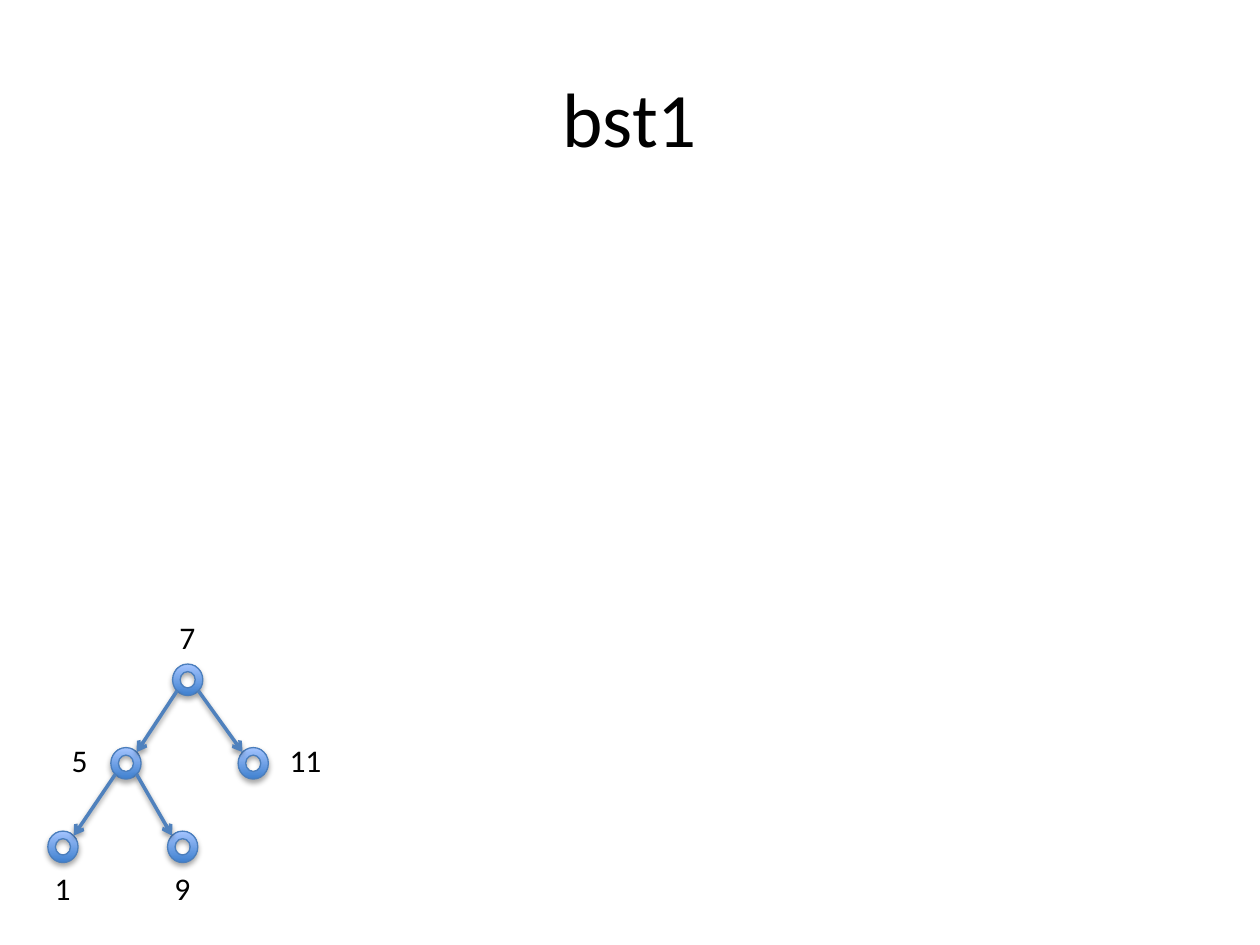
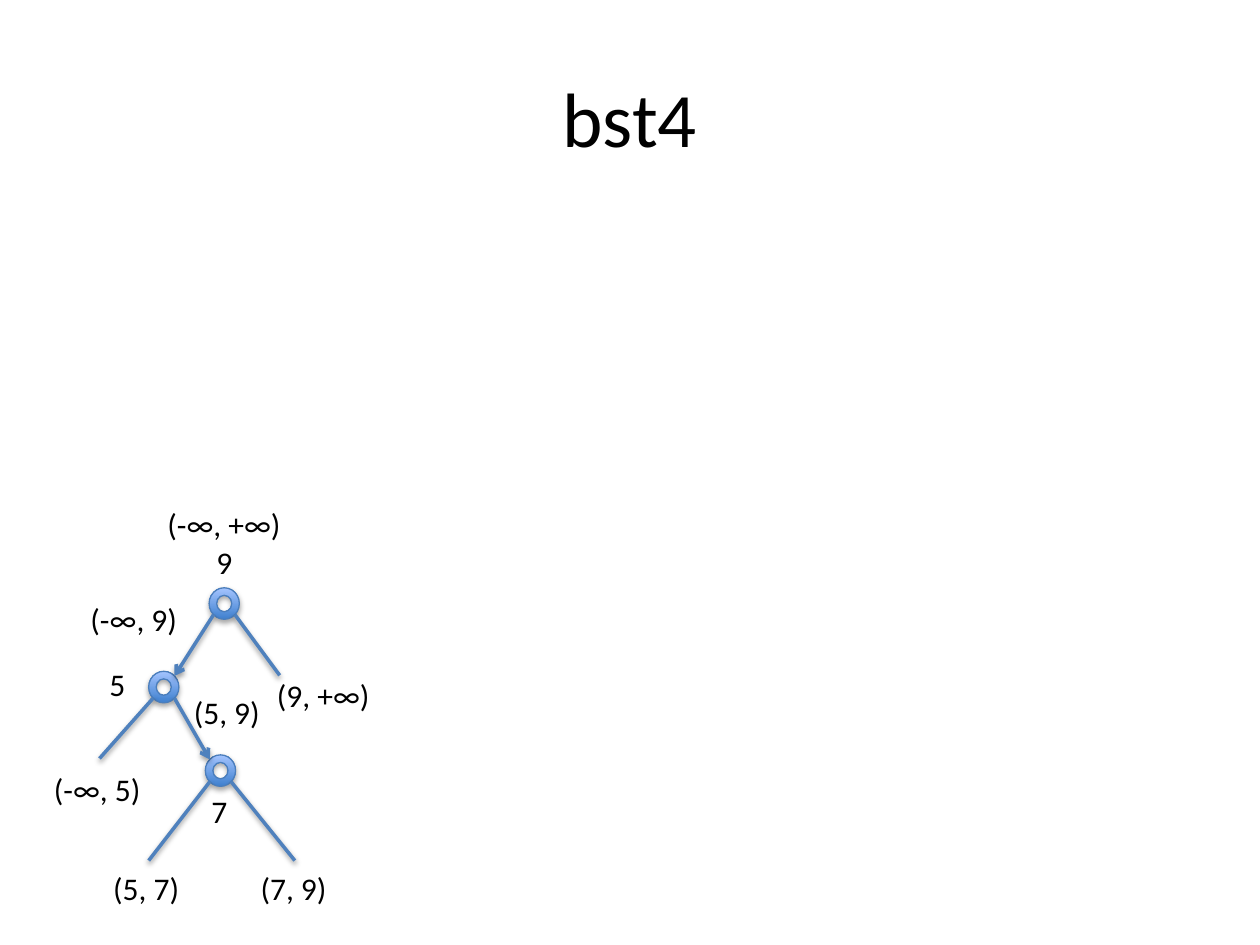
"""Two slides with binary search trees, placed on a 100 x 75 grid."""
from dataclasses import dataclass
import math

import lxml.etree
import pptx
import pptx.dml.color
import pptx.enum.shapes
import pptx.enum.text
import pptx.oxml.ns
import pptx.util

COLS, ROWS = 100, 75
LEVEL = 6.63  # rows between two levels of a tree
NODE_COLS, NODE_ROWS = 2.4, 2.5
LABEL_ROWS = 4
FONT = "Calibri"
INK, EDGE, OUTLINE = "000000", "4F81BD", "4B7EBC"
RING_BOTTOM, RING_TOP = "3F80CE", "A4C4FF"

prs = pptx.Presentation()
prs.slide_width = pptx.util.Inches(10)
prs.slide_height = pptx.util.Inches(7.5)


@dataclass(frozen=True)
class Node:
    """A tree node: its centre column and its level below the root."""
    col: float
    level: int


@dataclass(frozen=True)
class Edge:
    """An arrow from one node to another."""
    parent: Node
    child: Node


@dataclass(frozen=True)
class Branch:
    """A plain line from a node to an empty place."""
    parent: Node
    col: float
    row: float


@dataclass(frozen=True)
class Label:
    """A text with the centre and the width of its box."""
    text: str
    col: float
    row: float
    cols: float = 3.3


@dataclass(frozen=True)
class Tree:
    """Everything on one slide."""
    title: str
    root_row: float
    nodes: list[Node]
    links: list[Edge | Branch]
    labels: list[Label]


def x(col: float) -> int:
    """Turn grid columns into a length."""
    return round(prs.slide_width * col / COLS)


def y(row: float) -> int:
    """Turn grid rows into a length."""
    return round(prs.slide_height * row / ROWS)


def rgb(value: str) -> pptx.dml.color.RGBColor:
    """Turn a hex string into a colour."""
    return pptx.dml.color.RGBColor.from_string(value)


def format_text(tf, size: float) -> None:
    """Give all runs the common font and colour."""
    for p in tf.paragraphs:
        for r in p.runs:
            r.font.name = FONT
            r.font.size = pptx.util.Pt(size)
            r.font.color.rgb = rgb(INK)


def add_shadow(sp, distance: float, opacity: int) -> None:
    """Put a soft shadow straight below a shape or connector."""
    qn = pptx.oxml.ns.qn
    effects = lxml.etree.SubElement(sp._element.spPr, qn("a:effectLst"))
    shadow = lxml.etree.SubElement(
        effects, qn("a:outerShdw"), blurRad=str(pptx.util.Pt(3.1)),
        dist=str(pptx.util.Pt(distance)), dir="5400000", rotWithShape="0")
    color = lxml.etree.SubElement(shadow, qn("a:srgbClr"), val=INK)
    lxml.etree.SubElement(color, qn("a:alpha"), val=str(opacity * 1000))


def add_title(s, text: str) -> None:
    """Place and format the title placeholder."""
    sp = s.shapes.title
    sp.left, sp.top, sp.width, sp.height = x(5), y(3), x(90), y(12.5)
    tf = sp.text_frame
    tf.text = text
    tf.vertical_anchor = pptx.enum.text.MSO_ANCHOR.MIDDLE
    tf.paragraphs[0].alignment = pptx.enum.text.PP_ALIGN.CENTER
    format_text(tf, 44)


def add_node(shapes, node: Node, root_row: float) -> None:
    """Draw a node as a shaded ring."""
    row = root_row + node.level * LEVEL
    sp = shapes.add_shape(
        pptx.enum.shapes.MSO_SHAPE.DONUT,
        x(node.col - NODE_COLS / 2), y(row - NODE_ROWS / 2),
        x(NODE_COLS), y(NODE_ROWS))
    sp.fill.gradient()
    sp.fill.gradient_angle = 90
    for stop, color in zip(sp.fill.gradient_stops, (RING_BOTTOM, RING_TOP)):
        stop.color.rgb = rgb(color)
    sp.line.color.rgb = rgb(OUTLINE)
    sp.line.width = pptx.util.Pt(0.75)
    add_shadow(sp, 1.8, 35)


def add_link(shapes, link: Edge | Branch, root_row: float) -> None:
    """Draw a line that meets each ring at 45 degrees."""
    diagonal = math.sqrt(0.5) / 2
    rim_col, rim_row = NODE_COLS * diagonal, NODE_ROWS * diagonal
    parent, is_edge = link.parent, isinstance(link, Edge)
    target = link.child.col if is_edge else link.col
    side = math.copysign(1, target - parent.col)
    if is_edge:
        end_col = target - side * rim_col
        end_row = root_row + link.child.level * LEVEL - rim_row
    else:
        end_col, end_row = target, link.row
    c = shapes.add_connector(
        pptx.enum.shapes.MSO_CONNECTOR.STRAIGHT,
        x(parent.col + side * rim_col),
        y(root_row + parent.level * LEVEL + rim_row), x(end_col), y(end_row))
    c.line.color.rgb = rgb(EDGE)
    c.line.width = pptx.util.Pt(2)
    if is_edge:
        qn = pptx.oxml.ns.qn
        ln = c._element.spPr.find(qn("a:ln"))
        lxml.etree.SubElement(ln, qn("a:tailEnd"), type="arrow")
    add_shadow(c, 1.6, 38)


def add_label(shapes, label: Label) -> None:
    """Write a label in a box that does not wrap."""
    sp = shapes.add_textbox(
        x(label.col - label.cols / 2), y(label.row - LABEL_ROWS / 2),
        x(label.cols), y(LABEL_ROWS))
    tf = sp.text_frame
    tf.text = label.text
    tf.word_wrap = False
    tf.auto_size = pptx.enum.text.MSO_AUTO_SIZE.SHAPE_TO_FIT_TEXT
    format_text(tf, 18)


def add_tree(tree: Tree) -> None:
    """Add one slide with its title and its grouped tree."""
    s = prs.slides.add_slide(prs.slide_layouts[5])
    shapes = s.shapes.add_group_shape().shapes
    for node in tree.nodes:
        add_node(shapes, node, tree.root_row)
    for link in tree.links:
        add_link(shapes, link, tree.root_row)
    for label in tree.labels:
        add_label(shapes, label)
    add_title(s, tree.title)


def full_tree() -> Tree:
    """Describe the tree with five nodes."""
    seven, five, eleven = Node(14.9, 0), Node(10, 1), Node(20.1, 1)
    one, nine = Node(5, 2), Node(14.5, 2)
    return Tree(
        "bst1", 53.95, [seven, five, eleven, one, nine],
        [Edge(seven, five), Edge(seven, eleven),
         Edge(five, one), Edge(five, nine)],
        [Label("7", 14.9, 50.6), Label("5", 6.35, 60.3),
         Label("11", 24.3, 60.3, 4.6),
         Label("1", 5, 70.5), Label("9", 14.5, 70.5)])


def interval_tree() -> Tree:
    """Describe the tree whose branches carry intervals."""
    nine, five, seven = Node(17.8, 0), Node(13, 1), Node(17.5, 2)
    return Tree(
        "bst4", 47.9, [nine, five, seven],
        [Edge(nine, five), Edge(five, seven),
         Branch(nine, 22.2, 53.6), Branch(five, 7.9, 60.2),
         Branch(seven, 11.8, 68.3), Branch(seven, 23.4, 68.3)],
        [Label("9", 17.85, 44.6), Label("5", 9.35, 54.3),
         Label("7", 17.45, 64.4),
         Label("(-∞, +∞)", 17.85, 41.6, 11.1),
         Label("(9, +∞)", 25.7, 55.2, 9.4),
         Label("(-∞, 9)", 10.7, 49.1, 9), Label("(-∞, 5)", 7.8, 62.6, 9),
         Label("(5, 9)", 18.05, 56.5, 7.3),
         Label("(5, 7)", 11.65, 70.5, 7.3),
         Label("(7, 9)", 23.35, 70.5, 7.3)])


for tree in (full_tree(), interval_tree()):
    add_tree(tree)
prs.save("out.pptx")
